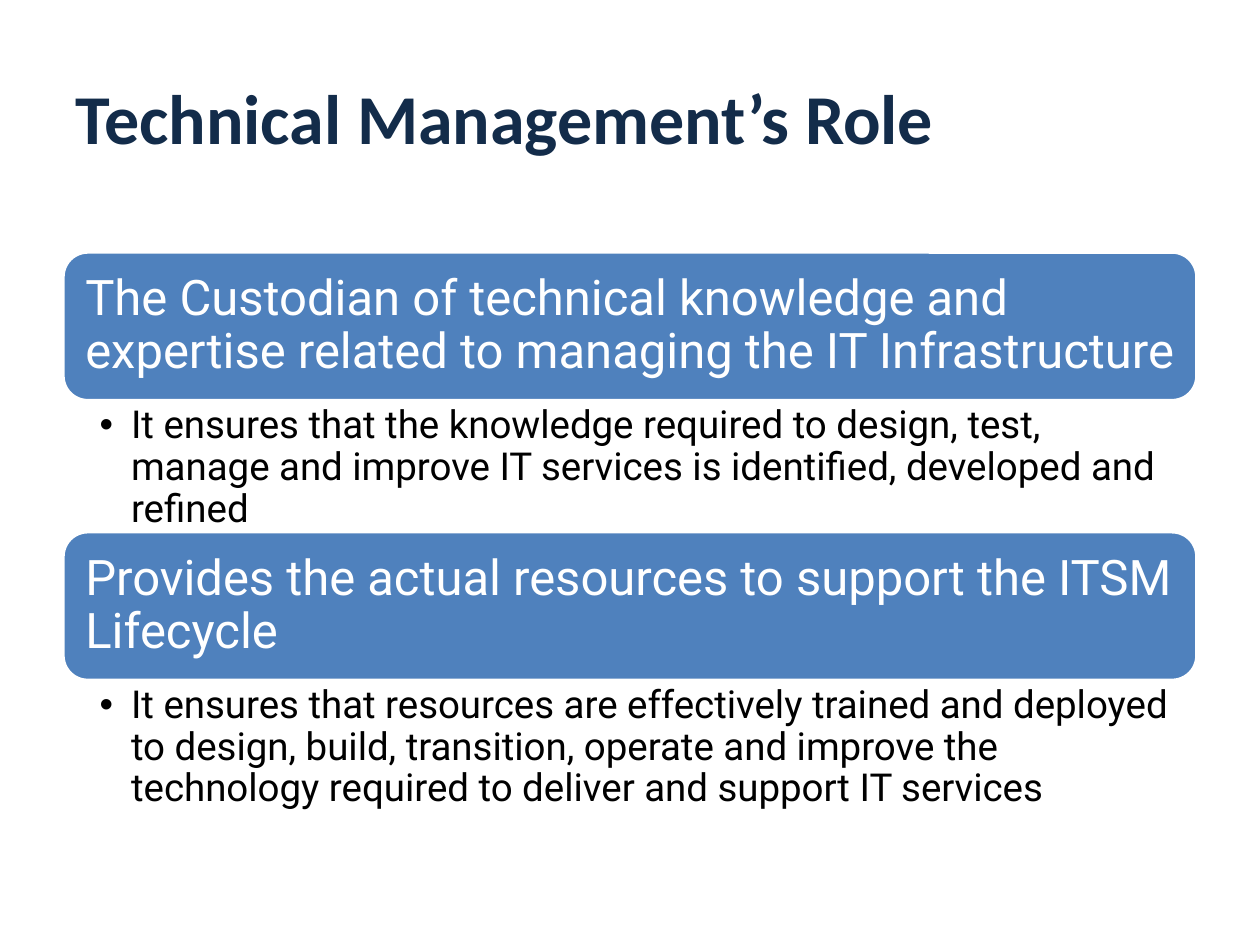
from pptx import Presentation
from pptx.dml.color import RGBColor
from pptx.enum.shapes import MSO_SHAPE
from pptx.enum.text import MSO_ANCHOR, MSO_AUTO_SIZE, PP_ALIGN
from pptx.oxml.ns import qn
from pptx.util import Inches, Pt
from lxml.etree import SubElement


def rgb(value):
    return RGBColor.from_string(value)


class RoleSlide:
    """Holds the style and the current slide."""
    NAVY, BLUE, WHITE, BLACK = "132C4A", "4F81BD", "FFFFFF", "000000"
    HEAD_FONT, BODY_FONT = "Calibri", "Roboto"
    LEFT, WIDTH = 0.5, 9

    def __init__(self, prs):
        self.s = prs.slides.add_slide(prs.slide_layouts.get_by_name("Two Content"))

    def place(self, sp, top, height):
        sp.left, sp.top = Inches(self.LEFT), Inches(top)
        sp.width, sp.height = Inches(self.WIDTH), Inches(height)

    def frame(self, sp, anchor, insets):
        tf = sp.text_frame
        tf.word_wrap = True
        tf.auto_size = MSO_AUTO_SIZE.NONE
        tf.vertical_anchor = anchor
        tf.margin_left, tf.margin_top, tf.margin_right, tf.margin_bottom = map(Inches, insets)
        return tf

    def add_text(self, p, text, size, font, color, bold=False):
        p.alignment = PP_ALIGN.LEFT
        r = p.add_run()
        r.text = text
        r.font.size, r.font.name, r.font.bold = Pt(size), font, bold
        r.font.color.rgb = rgb(color)

    def title(self, text, top, height):
        sp = self.s.shapes.title
        self.place(sp, top, height)
        tf = self.frame(sp, MSO_ANCHOR.MIDDLE, (0.1, 0.05, 0.1, 0.05))
        self.add_text(tf.paragraphs[0], text, 40, self.HEAD_FONT, self.NAVY, True)

    def bar(self, text, top, height):
        sp = self.s.shapes.add_shape(MSO_SHAPE.ROUNDED_RECTANGLE, 0, 0, 0, 0)
        self.place(sp, top, height)
        sp.shadow.inherit = False
        sp.fill.solid()
        sp.fill.fore_color.rgb = rgb(self.BLUE)
        sp.line.color.rgb = rgb(self.WHITE)
        sp.line.width = Pt(2)
        p = self.frame(sp, MSO_ANCHOR.MIDDLE, (0.12,) * 4).paragraphs[0]
        p.line_spacing = 0.9
        self.add_text(p, text, 28, self.BODY_FONT, self.WHITE)

    def bullet(self, idx, text, top, height):
        sp = self.s.placeholders[idx]
        self.place(sp, top, height)
        p = self.frame(sp, MSO_ANCHOR.TOP, (0.29, 0.04, 0.22, 0.04)).paragraphs[0]
        p.level = 1
        p.line_spacing, p.space_before = 0.9, Pt(0)
        pPr = p._p.get_or_add_pPr()
        pPr.set("marL", str(Inches(0.25)))
        pPr.set("indent", str(-Inches(0.25)))
        SubElement(pPr, qn("a:buChar")).set("char", "•")
        self.add_text(p, text, 22, self.BODY_FONT, self.BLACK)


# Each role: heading bar, then its explanation
ROLES = [
    ("The Custodian of technical knowledge and expertise related to managing "
     "the IT Infrastructure",
     "It ensures that the knowledge required to design, test, manage and improve "
     "IT services is identified, developed and refined"),
    ("Provides the actual resources to support the ITSM Lifecycle",
     "It ensures that resources are effectively trained and deployed to design, "
     "build, transition, operate and improve the technology required to deliver "
     "and support IT services"),
]
TOP, PITCH, BAR_H, LIST_H = 2, 2.22, 1.18, 1.05


def main():
    prs = Presentation()
    prs.slide_width, prs.slide_height = Inches(10), Inches(7.5)
    slide = RoleSlide(prs)

    # Title
    slide.title("Technical Management’s Role", 0.3, 1.25)

    # Stacked roles
    for i, (heading, detail) in enumerate(ROLES):
        top = TOP + i * PITCH
        slide.bar(heading, top, BAR_H)
        slide.bullet(i + 1, detail, top + BAR_H, LIST_H)

    prs.save("out.pptx")


if __name__ == "__main__":
    main()
